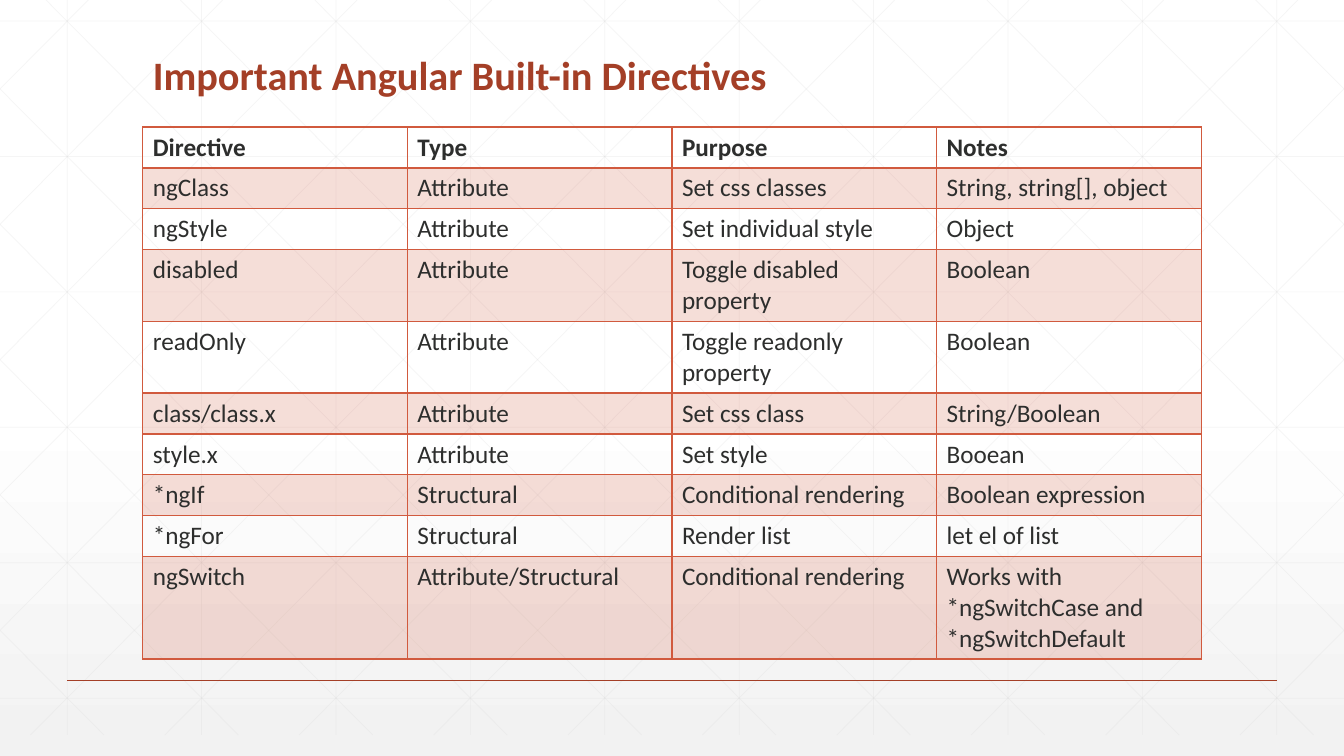
from dataclasses import dataclass

from lxml import etree
from pptx import Presentation
from pptx.dml.color import RGBColor
from pptx.enum.shapes import MSO_CONNECTOR
from pptx.enum.text import MSO_ANCHOR, MSO_AUTO_SIZE, PP_ALIGN
from pptx.oxml.ns import qn
from pptx.util import Pt

STRAIGHT = MSO_CONNECTOR.STRAIGHT
BOTTOM = MSO_ANCHOR.BOTTOM
LEFT = PP_ALIGN.LEFT
NO_FIT = MSO_AUTO_SIZE.NONE

TITLE = "Important Angular Built-in Directives"
ROWS = [
    ("Directive", "Type", "Purpose", "Notes"),
    ("ngClass", "Attribute", "Set css classes", "String, string[], object"),
    ("ngStyle", "Attribute", "Set individual style", "Object"),
    ("disabled", "Attribute", "Toggle disabled property", "Boolean"),
    ("readOnly", "Attribute", "Toggle readonly property", "Boolean"),
    ("class/class.x", "Attribute", "Set css class", "String/Boolean"),
    ("style.x", "Attribute", "Set style", "Booean"),
    ("*ngIf", "Structural", "Conditional rendering", "Boolean expression"),
    ("*ngFor", "Structural", "Render list", "let el of list"),
    ("ngSwitch", "Attribute/Structural", "Conditional rendering",
     "Works with *ngSwitchCase and *ngSwitchDefault"),
]


@dataclass(frozen=True)
class Theme:
    font: str = "Calibri"
    title_size: float = 28.8
    body_size: float = 18
    title: str = "A43F27"
    text: str = "2D2E2D"
    accent: str = "D15A3E"
    grid: str = "D9D9D9"
    bg_top: str = "FFFFFF"
    bg_bottom: str = "F2F2F2"
    grid_alpha: int = 25
    band_alpha: int = 20


T = Theme()
PX = 9525
WIDTH, HEIGHT = 1280, 720
GRID_TOP, GRID_BOTTOM, GRID_STEP = -20, 700, 128
DIAGONAL_RUN = 715
TABLE_X, TABLE_Y, COL_W, ROW_H = 136, 121, 252, 39


def px(value):
    return round(value * PX)


def rgb(value):
    return RGBColor.from_string(value)


def set_alpha(parent, percent):
    color = parent.find(".//" + qn("a:srgbClr"))
    etree.SubElement(color, qn("a:alpha"), val=str(percent * 1000))


def set_font(p, size, color, bold):
    p.font.name = T.font
    p.font.size = Pt(size)
    p.font.color.rgb = rgb(color)
    p.font.bold = bold


def add_line(s, x1, y1, x2, y2, color, width, alpha=None):
    line = s.shapes.add_connector(STRAIGHT, px(x1), px(y1), px(x2), px(y2))
    line.line.color.rgb = rgb(color)
    line.line.width = Pt(width)
    sp_pr = line._element.spPr
    if alpha:
        set_alpha(sp_pr, alpha)
    etree.SubElement(sp_pr, qn("a:effectLst"))


def grid_lines():
    for x in range(64, WIDTH, GRID_STEP):
        yield x, 0, x, GRID_BOTTOM
    for y in range(20, GRID_BOTTOM, GRID_STEP + 1):
        yield 0, y, WIDTH, y
    slope = (GRID_BOTTOM - GRID_TOP) / DIAGONAL_RUN
    for i in range(-5, 10):
        start = 24 + GRID_STEP * i
        x1 = max(0, start - GRID_TOP / slope)
        x2 = min(WIDTH, start + DIAGONAL_RUN)
        y1, y2 = (GRID_TOP + (x - start) * slope for x in (x1, x2))
        yield x1, y1, x2, y2
        yield WIDTH - x1, y1, WIDTH - x2, y2


def set_borders(cell, bottom_width):
    tc_pr = cell._tc.get_or_add_tcPr()
    for side, width in (("lnL", 1), ("lnR", 1), ("lnT", 1), ("lnB", bottom_width)):
        ln = etree.SubElement(tc_pr, qn("a:" + side), w=str(Pt(width)))
        fill = etree.SubElement(ln, qn("a:solidFill"))
        etree.SubElement(fill, qn("a:srgbClr"), val=T.accent)


def add_background(s):
    fill = s.background.fill
    fill.gradient()
    fill.gradient_angle = 270
    for stop, position, color in zip(fill.gradient_stops, (0.53, 1), (T.bg_top, T.bg_bottom)):
        stop.position = position
        stop.color.rgb = rgb(color)
    for ends in grid_lines():
        add_line(s, *ends, T.grid, 0.5, T.grid_alpha)
    add_line(s, 64, 648, 1216, 648, T.title, 1)


def add_title(s):
    title = s.shapes.title
    title.left, title.top, title.width, title.height = map(px, (TABLE_X, 53, 1008, 46))
    tf = title.text_frame
    tf.text = TITLE
    tf.auto_size = NO_FIT
    tf.vertical_anchor = BOTTOM
    p = tf.paragraphs[0]
    p.alignment = LEFT
    p.line_spacing = 0.9
    set_font(p, T.title_size, T.title, True)
    title._element.getparent().append(title._element)


def add_directives(s):
    cols = len(ROWS[0])
    table = s.shapes.add_table(len(ROWS), cols, px(TABLE_X), px(TABLE_Y),
                               px(COL_W * cols), px(ROW_H * len(ROWS))).table
    for i, values in enumerate(ROWS):
        table.rows[i].height = px(ROW_H)
        for j, value in enumerate(values):
            cell = table.cell(i, j)
            cell.text = value
            set_font(cell.text_frame.paragraphs[0], T.body_size, T.text, i == 0)
            set_borders(cell, 2 if i == 0 else 1)
            if i % 2:
                cell.fill.solid()
                cell.fill.fore_color.rgb = rgb(T.accent)
                set_alpha(cell._tc.tcPr.find(qn("a:solidFill")), T.band_alpha)
            else:
                cell.fill.background()


def main():
    prs = Presentation()
    prs.slide_width, prs.slide_height = px(WIDTH), px(HEIGHT)
    s = prs.slides.add_slide(prs.slide_layouts[5])
    add_background(s)
    add_title(s)
    add_directives(s)
    prs.save("out.pptx")


if __name__ == "__main__":
    main()
